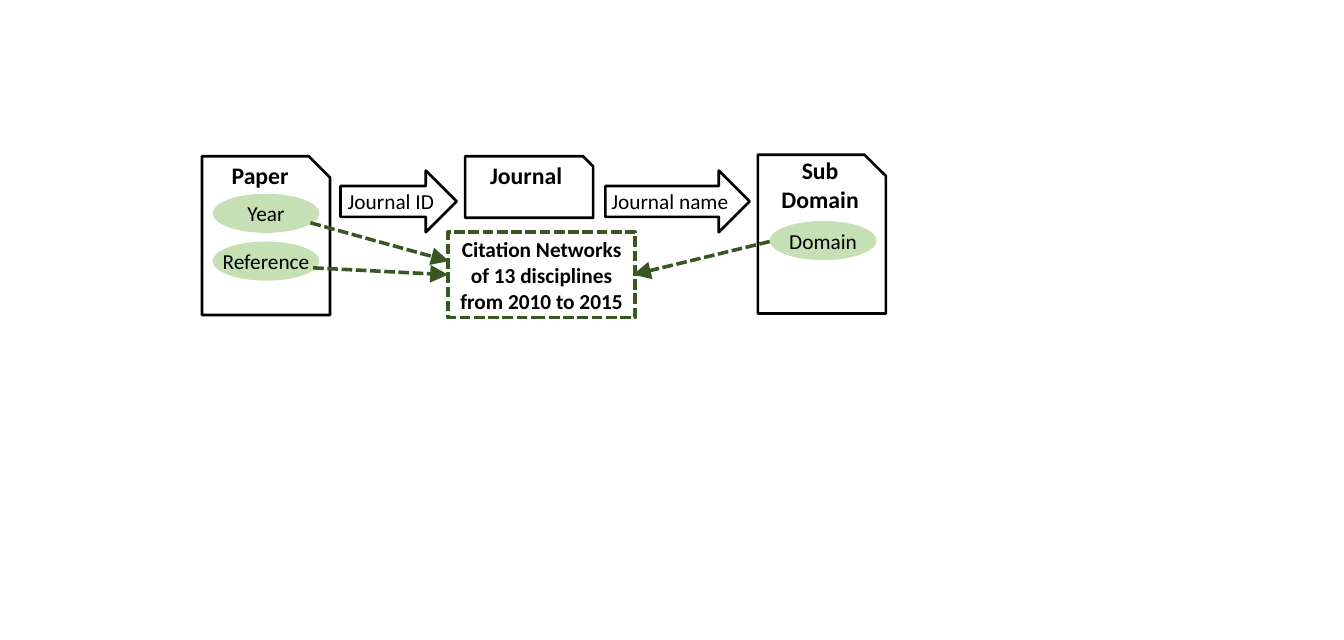
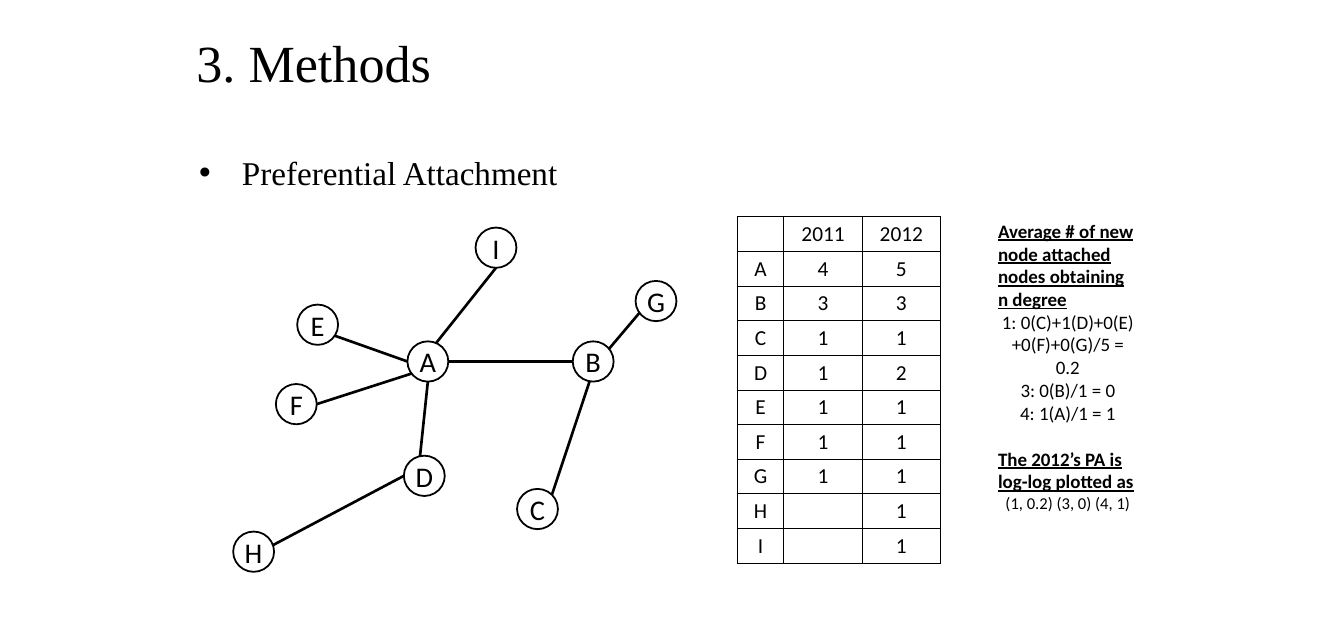
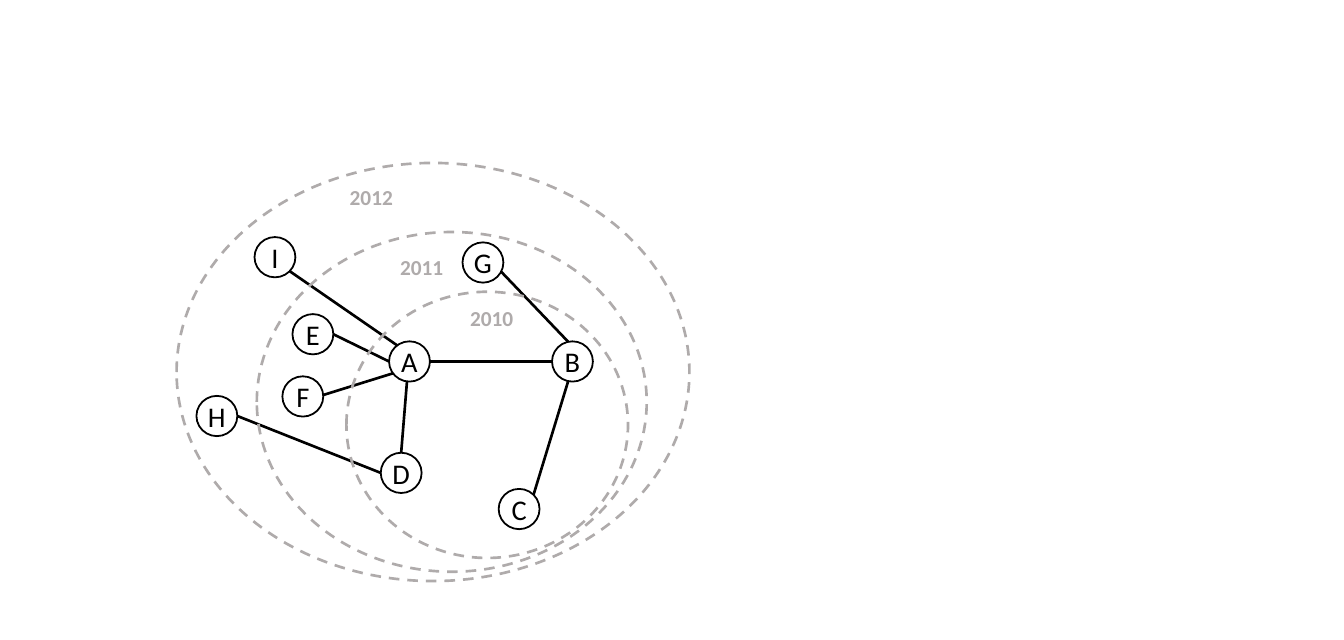
"""Build three slides on citation networks and preferential attachment."""
from math import cos, radians, sin

from lxml import etree
from pptx import Presentation
from pptx.dml.color import RGBColor
from pptx.enum.dml import MSO_LINE
from pptx.enum.shapes import MSO_CONNECTOR, MSO_SHAPE
from pptx.enum.text import MSO_ANCHOR, MSO_AUTO_SIZE, PP_ALIGN
from pptx.oxml.ns import qn
from pptx.util import Pt

LEFT, CENTER = PP_ALIGN.LEFT, PP_ALIGN.CENTER
TOP, MIDDLE, BOTTOM = MSO_ANCHOR.TOP, MSO_ANCHOR.MIDDLE, MSO_ANCHOR.BOTTOM
OVAL, RECT = MSO_SHAPE.OVAL, MSO_SHAPE.RECTANGLE
CARD, ARROW = MSO_SHAPE.SNIP_1_RECTANGLE, MSO_SHAPE.RIGHT_ARROW
DASH, SHORT_DASH = MSO_LINE.DASH, MSO_LINE.SQUARE_DOT
STRAIGHT = MSO_CONNECTOR.STRAIGHT
NO_AUTOFIT = MSO_AUTO_SIZE.NONE

BLACK, GREEN, PALE_GREEN, GREY = "000000", "385723", "C5E0B4", "AFABAB"
SANS, SERIF = "Calibri", "Times New Roman"
TITLE_ONLY, BLANK = 5, 6
NODE_WIDTH, NODE_HEIGHT = 34.5, 34

CARDS = [
    ("Journal", (392.5, 131.8, 108, 52), (394, 131.8, 100, 32)),
    ("Paper", (170.5, 131.8, 108, 134), (169.5, 131.8, 100, 32)),
    ("Sub\nDomain", (639.5, 130.5, 108, 134), (642, 128, 100, 55)),
]
FIELDS = [("Year", 179.5, 163.5), ("Reference", 179.5, 203.8),
          ("Domain", 649.5, 186.5)]
JOINS = [("Journal ID", 287.3, 98), ("Journal name", 510.8, 121.7)]
FLOWS = [((262, 188), (378.7, 220.3)), ((264.2, 226), (378, 231.8)),
         ((649.5, 203.8), (534.2, 231.8))]
NETWORK = "Citation Networks of 13 disciplines from 2010 to 2015"

YEARS = ("2011", "2012")
DEGREES = {"A": (4, 5), "B": (3, 3), "C": (1, 1), "D": (1, 2), "E": (1, 1),
           "F": (1, 1), "G": (1, 1), "H": ("", 1), "I": ("", 1)}
TABLE_COLUMNS, TABLE_ROW = (39.5, 66, 66), 29.25

NOTES = [
    ("Average # of new node attached nodes obtaining n degree", 16, True, 0),
    ("1: 0(C)+1(D)+0(E) +0(F)+0(G)/5 = 0.2", 16, False, 0),
    ("3: 0(B)/1 = 0", 16, False, 0),
    ("4: 1(A)/1 = 1", 16, False, 0),
    ("The 2012’s PA is log-log plotted as", 16, True, 19.5),
    ("(1, 0.2) (3, 0) (4, 1)", 14, False, 0),
]

METHOD_NODES = {"A": (361, 305), "B": (500.5, 305), "D": (358, 401.5),
                "C": (453.5, 429.5), "E": (268, 274), "F": (250, 341),
                "G": (553.5, 254), "H": (214, 465.5), "I": (418.5, 209)}
METHOD_EDGES = [("A", 0, "B", 180), ("B", 260, "C", 45), ("A", 270, "D", 102),
                ("E", 327, "A", 180), ("F", 0, "A", 217), ("B", 39, "G", 216),
                ("H", 19, "D", 180), ("I", 270, "A", 66)]
GROWTH_NODES = {"A": (345.5, 305), "B": (483, 305), "D": (338.5, 399),
                "C": (438, 429.5), "E": (264, 282), "F": (255.5, 334.5),
                "G": (407.5, 221.5), "H": (183, 351), "I": (232, 217)}
GROWTH_EDGES = [("A", 0, "B", 180), ("B", 258, "C", 45), ("A", 263, "D", 90),
                ("E", 0, "A", 180), ("F", 4, "A", 216), ("B", 102, "G", 333),
                ("H", 0, "D", 180), ("I", 316, "A", 127)]
RINGS = [
    ("2010", (292.3, 246.2, 237.6, 224.6), (389.5, 254.2)),
    ("2011", (216.7, 195.8, 329, 286.6), (330.5, 211)),
    ("2012", (149, 137.5, 432.7, 352.8), (288, 152)),
]


def rgb(color):
    return RGBColor.from_string(color)


def points(values):
    return [Pt(value) for value in values]


def style(paragraph, size, color=BLACK, bold=False, align=LEFT, font=SANS,
          underline=False):
    paragraph.alignment = align
    for run in paragraph.runs:
        run.font.name = font
        run.font.size = Pt(size)
        run.font.bold = bold
        run.font.underline = underline
        run.font.color.rgb = rgb(color)


def write(shape, text, size, anchor=MIDDLE, margin=None, wrap=True, **look):
    frame = shape.text_frame
    frame.text = text
    frame.word_wrap = wrap
    frame.vertical_anchor = anchor
    if margin is not None:
        frame.margin_left = frame.margin_right = Pt(margin)
        frame.margin_top = frame.margin_bottom = Pt(margin)
    for paragraph in frame.paragraphs:
        style(paragraph, size, **look)


def add_label(slide, box, text, size, **look):
    label = slide.shapes.add_textbox(*points(box))
    write(label, text, size, anchor=TOP, **look)
    return label


def set_line(line, color, width, dash=None):
    line.color.rgb = rgb(color)
    line.width = Pt(width)
    if dash is not None:
        line.dash_style = dash


def add_outline(slide, kind, box, color=BLACK, width=2.25, dash=None):
    shape = slide.shapes.add_shape(kind, *points(box))
    shape.shadow.inherit = False
    shape.fill.background()
    set_line(shape.line, color, width, dash)
    return shape


def add_link(slide, start, end, color=BLACK, width=2.25, dash=None,
             arrow=False):
    link = slide.shapes.add_connector(STRAIGHT, *points(start + end))
    set_line(link.line, color, width, dash)
    properties = link._element.spPr
    if arrow:
        outline = properties.find(qn("a:ln"))
        etree.SubElement(outline, qn("a:tailEnd"), type="triangle", w="lg",
                         len="lg")
    etree.SubElement(properties, qn("a:effectLst"))


def rim_point(center, angle):
    x, y = center
    turn = radians(angle)
    return (x + NODE_WIDTH / 2 * cos(turn), y - NODE_HEIGHT / 2 * sin(turn))


def add_graph(slide, nodes, edges):
    for name, (x, y) in nodes.items():
        box = (x - NODE_WIDTH / 2, y - NODE_HEIGHT / 2, NODE_WIDTH, NODE_HEIGHT)
        node = add_outline(slide, OVAL, box, width=1.5)
        write(node, name, 24, margin=0, wrap=False, align=CENTER)
    for first, first_angle, second, second_angle in edges:
        add_link(slide, rim_point(nodes[first], first_angle),
                 rim_point(nodes[second], second_angle))


def add_borders(cell):
    properties = cell._tc.get_or_add_tcPr()
    for position, side in enumerate(("lnL", "lnR", "lnT", "lnB")):
        border = etree.Element(qn(f"a:{side}"), w=str(Pt(1)))
        fill = etree.SubElement(border, qn("a:solidFill"))
        etree.SubElement(fill, qn("a:srgbClr"), val=BLACK)
        properties.insert(position, border)


def add_degree_table(slide):
    rows = [("",) + YEARS] + [(name,) + pair for name, pair in DEGREES.items()]
    box = (622, 183, sum(TABLE_COLUMNS), TABLE_ROW * len(rows))
    table = slide.shapes.add_table(len(rows), len(TABLE_COLUMNS),
                                   *points(box)).table
    table.first_row = table.horz_banding = False
    for column, width in zip(table.columns, TABLE_COLUMNS):
        column.width = Pt(width)
    for row, values in zip(table.rows, rows):
        row.height = Pt(TABLE_ROW)
        for cell, value in zip(row.cells, values):
            cell.text = str(value)
            style(cell.text_frame.paragraphs[0], 18, align=CENTER)
            cell.fill.background()
            add_borders(cell)


def add_topic(slide):
    topic = add_label(slide, (125, 125, 880, 40), "Preferential Attachment",
                      28, font=SERIF)
    paragraph = topic.text_frame.paragraphs[0]
    properties = paragraph._p.get_or_add_pPr()
    properties.set("marL", str(Pt(72)))
    properties.set("indent", str(Pt(-36)))
    etree.SubElement(properties, qn("a:buFont"), typeface="Arial")
    etree.SubElement(properties, qn("a:buChar"), char="•")


def add_notes_column(slide):
    text = "\n".join(note[0] for note in NOTES)
    column = add_label(slide, (835, 181.5, 132, 281), text, 16)
    for paragraph, note in zip(column.text_frame.paragraphs, NOTES):
        _, size, heading, gap = note
        style(paragraph, size, bold=heading, underline=heading,
              align=LEFT if heading else CENTER)
        if gap:
            paragraph.space_before = Pt(gap)


def build_sources(slide):
    for name, box, label_box in CARDS:
        add_outline(slide, CARD, box)
        add_label(slide, label_box, name, 20, bold=True, align=CENTER)
    for name, left, top in FIELDS:
        field = add_outline(slide, OVAL, (left, top, 90, 33))
        field.fill.solid()
        field.fill.fore_color.rgb = rgb(PALE_GREEN)
        field.line.fill.background()
        write(field, name, 18, margin=0, wrap=False, align=CENTER)
    for name, left, width in JOINS:
        join = add_outline(slide, ARROW, (left, 144, width, 52))
        write(join, name, 18, margin=0, wrap=False, align=CENTER)
    for start, end in FLOWS:
        add_link(slide, start, end, GREEN, 3, SHORT_DASH, arrow=True)
    network = add_outline(slide, RECT, (378, 196, 158, 72), GREEN, 3,
                          SHORT_DASH)
    write(network, NETWORK, 18, bold=True, align=CENTER)


def build_methods(slide):
    title = slide.shapes.title
    title.left, title.top, title.width, title.height = points(
        (158.5, 24, 828, 59))
    write(title, "3. Methods", 44, anchor=BOTTOM, font=SERIF)
    title.text_frame.auto_size = NO_AUTOFIT
    title.text_frame.paragraphs[0].line_spacing = 0.9
    add_topic(slide)
    add_graph(slide, METHOD_NODES, METHOD_EDGES)
    add_degree_table(slide)
    add_notes_column(slide)


def build_growth(slide):
    add_graph(slide, GROWTH_NODES, GROWTH_EDGES)
    for year, ring_box, label_corner in RINGS:
        add_outline(slide, OVAL, ring_box, GREY, dash=DASH)
        add_label(slide, label_corner + (58, 29), year, 18, color=GREY,
                  bold=True)


def main():
    deck = Presentation()
    deck.slide_width, deck.slide_height = Pt(1134), Pt(540)
    for layout, build in ((BLANK, build_sources), (TITLE_ONLY, build_methods),
                          (BLANK, build_growth)):
        build(deck.slides.add_slide(deck.slide_layouts[layout]))
    deck.save("out.pptx")


if __name__ == "__main__":
    main()
